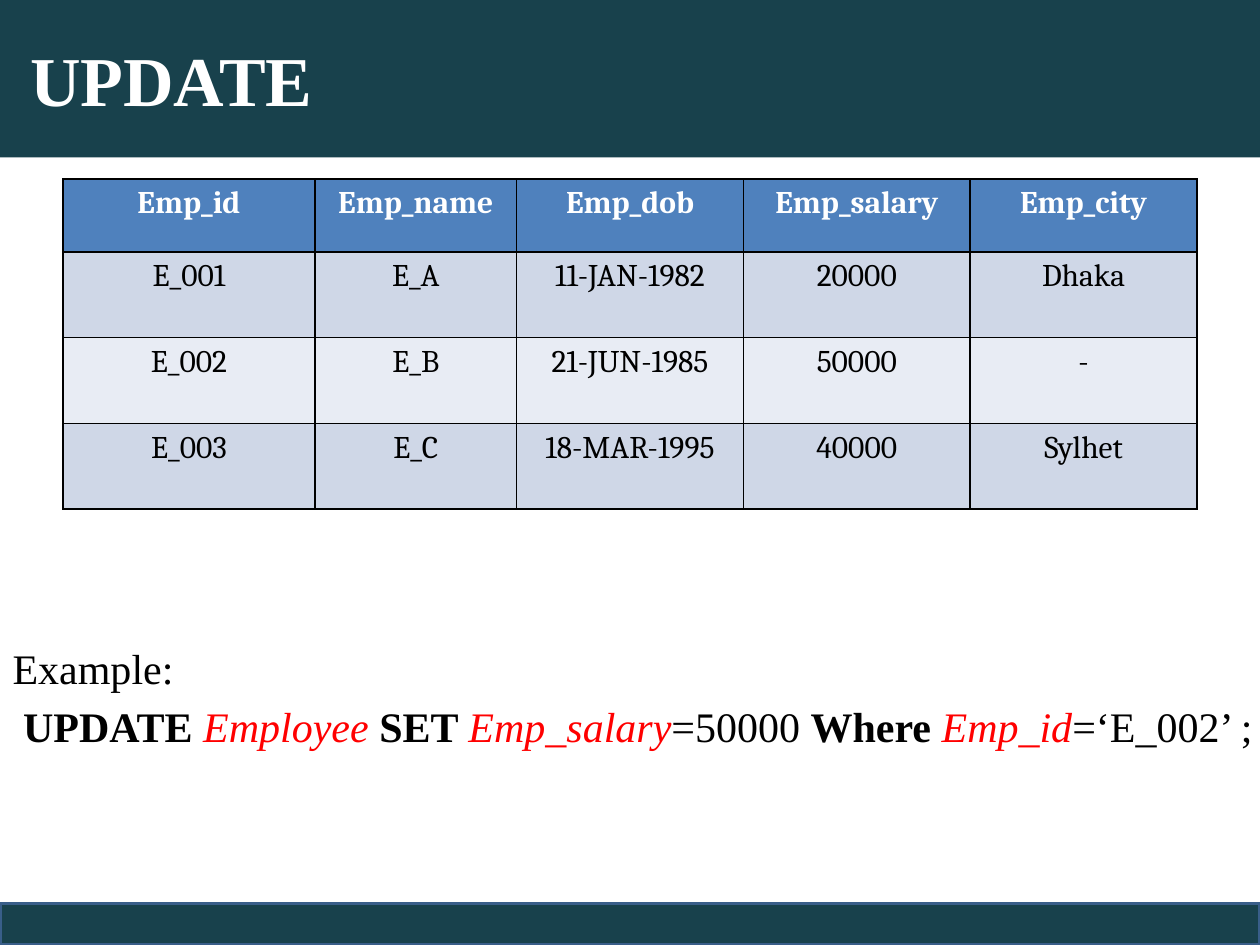
"""Build the SQL UPDATE slide with its employee table and example."""
from pptx import Presentation
from pptx import util as u
from pptx.dml.color import RGBColor
from pptx.enum import shapes, text
from pptx.oxml import parse_xml
from pptx.oxml.ns import nsdecls


def rgb(value):
    return RGBColor.from_string(value)


class Deck:
    TEAL, WHITE, BLACK, RED = "18414C", "FFFFFF", "000000", "FF0000"
    HEADER, BANDS = "4F81BD", ("CFD7E7", "E8ECF4")
    SERIF, TABLE_FONT = "Times New Roman", "Cambria"

    def __init__(self):
        self.prs = Presentation()
        self.prs.slide_width, self.prs.slide_height = u.Inches(10), u.Inches(7.5)
        self.s = self.prs.slides.add_slide(self.prs.slide_layouts[1])

    def place(self, sp, *box):
        sp.left, sp.top, sp.width, sp.height = map(u.Inches, box)

    def style(self, r, size, color, font, bold=False, italic=False):
        f = r.font
        f.size, f.name, f.bold, f.italic = u.Pt(size), font, bold, italic
        f.color.rgb = rgb(color)

    def frame(self, tf):
        tf.word_wrap = True
        tf.auto_size = text.MSO_AUTO_SIZE.NONE
        tf.vertical_anchor = text.MSO_ANCHOR.MIDDLE

    def bar(self, *box):
        sp = self.s.shapes.add_shape(shapes.MSO_SHAPE.RECTANGLE, *map(u.Inches, box))
        sp.shadow.inherit = False
        sp.fill.solid()
        sp.fill.fore_color.rgb = rgb(self.TEAL)
        sp.line.color.rgb = rgb("395E89")
        sp.line.width = u.Pt(2)

    def title(self, words, *box):
        sp = self.s.shapes.title
        self.place(sp, *box)
        sp.fill.solid()
        sp.fill.fore_color.rgb = rgb(self.TEAL)
        tf = sp.text_frame
        tf.text = words
        self.frame(tf)
        p = tf.paragraphs[0]
        p.alignment = text.PP_ALIGN.LEFT
        self.style(p.runs[0], 40, self.WHITE, self.SERIF, bold=True)

    def body(self, lines, *box):
        sp = self.s.placeholders[1]
        self.place(sp, *box)
        tf = sp.text_frame
        self.frame(tf)
        tf.margin_top = u.Inches(0.5)
        for i, line in enumerate(lines):
            p = tf.paragraphs[0] if i == 0 else tf.add_paragraph()
            p.space_before = u.Pt(4.8)
            pPr = p._p.get_or_add_pPr()
            pPr.set("marL", str(u.Inches(0.38)))
            pPr.set("indent", str(-u.Inches(0.38)))
            pPr.append(parse_xml(f"<a:buNone {nsdecls('a')}/>"))
            for words, kind in line:
                r = p.add_run()
                r.text = words
                color = self.RED if kind == "name" else self.BLACK
                self.style(r, 24, color, self.SERIF, kind == "keyword", kind == "name")

    def border(self, cell):
        tcPr = cell._tc.get_or_add_tcPr()
        for i, side in enumerate(("lnL", "lnR", "lnT", "lnB")):
            tcPr.insert(i, parse_xml(
                f'<a:{side} {nsdecls("a")} w="{u.Pt(1)}"><a:solidFill>'
                f'<a:srgbClr val="{self.BLACK}"/></a:solidFill></a:{side}>'))

    def table(self, rows, widths, heights, left, top):
        box = left, top, sum(widths), sum(heights)
        t = self.s.shapes.add_table(len(rows), len(widths), *map(u.Inches, box)).table
        for col, width in zip(t.columns, widths):
            col.width = u.Inches(width)
        for i, (row, height, values) in enumerate(zip(t.rows, heights, rows)):
            row.height = u.Inches(height)
            head = i == 0
            for cell, value in zip(row.cells, values):
                cell.fill.solid()
                cell.fill.fore_color.rgb = rgb(self.HEADER if head else self.BANDS[(i - 1) % 2])
                cell.text_frame.text = value
                p = cell.text_frame.paragraphs[0]
                p.alignment = text.PP_ALIGN.CENTER
                color = self.WHITE if head else self.BLACK
                self.style(p.runs[0], 18, color, self.TABLE_FONT, bold=head)
                self.border(cell)


def main():
    d = Deck()
    d.bar(0, 7.17, 10, 0.33)
    d.title(" UPDATE", 0, 0, 10, 1.25)
    d.body([
        [("Example:", "plain")],
        [(" ", "plain"), ("UPDATE ", "keyword"), ("Employee ", "name"),
         ("SET ", "keyword"), ("Emp_salary", "name"), ("=50000 ", "plain"),
         ("Where ", "keyword"), ("Emp_id", "name"), ("=‘E_002’ ;", "plain")],
    ], 0, 2.83, 10.17, 4.95)
    d.table([
        ("Emp_id", "Emp_name", "Emp_dob", "Emp_salary", "Emp_city"),
        ("E_001", "E_A", "11-JAN-1982", "20000", "Dhaka"),
        ("E_002", "E_B", "21-JUN-1985", "50000", "-"),
        ("E_003", "E_C", "18-MAR-1995", "40000", "Sylhet"),
    ], (2, 1.6, 1.8, 1.8, 1.8), (0.58, 0.68, 0.68, 0.68), 0.5, 1.42)
    d.prs.save("out.pptx")


if __name__ == "__main__":
    main()
